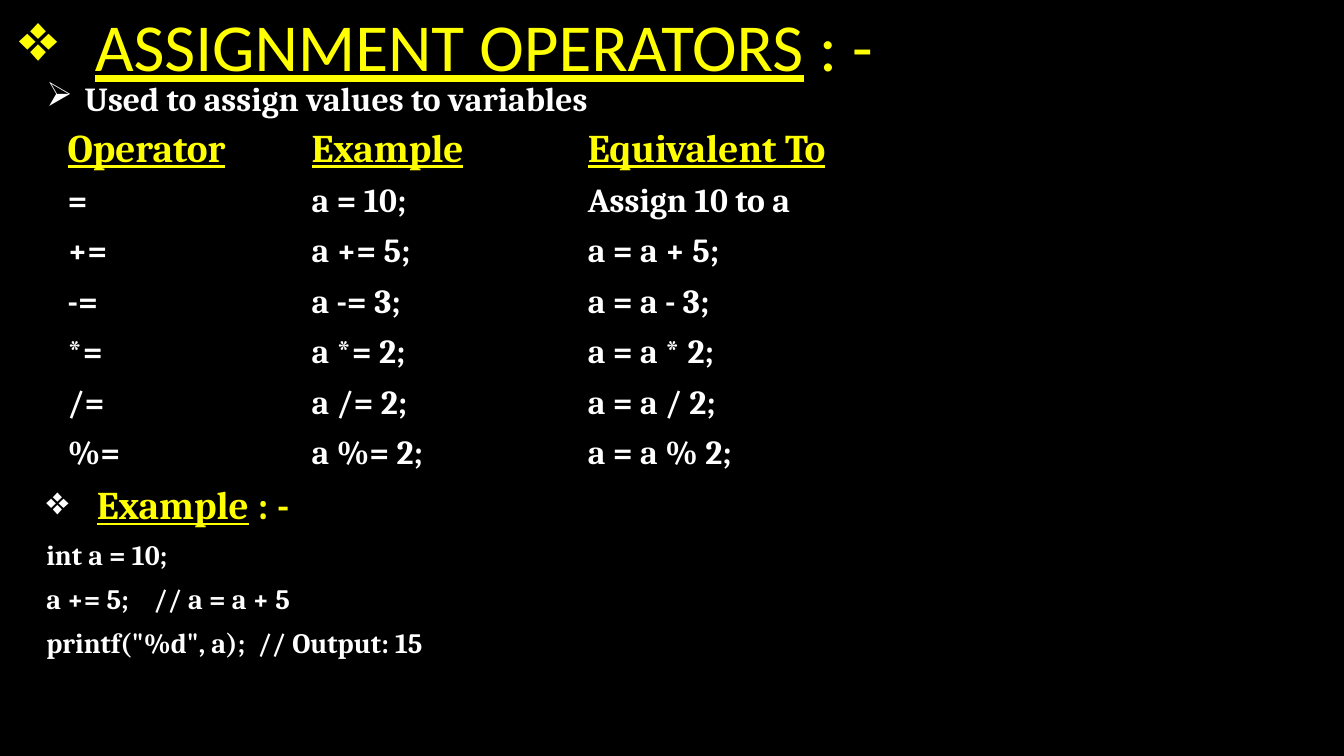
from typing import NamedTuple

from lxml import etree
from pptx import Presentation
from pptx import util as u
from pptx.dml import color
from pptx.enum import text
from pptx.oxml import ns

YELLOW, WHITE, BLACK = "FFFF00", "FFFFFF", "000000"
NO_GRID_STYLE = "{2D5ABB26-0587-4C30-8999-92F81FD0307C}"


class Line(NamedTuple):
    words: str
    size: int
    ink: str = WHITE
    face: str = "Cambria"
    bold: bool = True
    underlined: str = ""
    bullet: str = ""
    bullet_ink: str = WHITE
    indent: float = 0


class Block(NamedTuple):
    left: float
    top: float
    width: float
    height: float
    lines: list[Line]
    spacing: float = 0.88
    anchor: text.MSO_ANCHOR = text.MSO_ANCHOR.TOP


BLOCKS = [
    Block(0.19, -0.16, 12.61, 1.21, [
        Line(" : -", 48, YELLOW, "Calibri", False, "ASSIGNMENT OPERATORS", "❖", YELLOW, 0.75),
    ], 1, text.MSO_ANCHOR.MIDDLE),
    Block(0.46, 0.83, 11.29, 0.4, [
        Line("Used to assign values to variables", 24, bullet="➢", indent=0.38),
    ]),
    Block(0.46, 4.83, 11.29, 2, [
        Line(" : -", 28, YELLOW, underlined="Example", bullet="❖", indent=0.5),
        Line("int a = 10;", 20),
        Line("a += 5;    // a = a + 5", 20),
        Line('printf("%d", a);  // Output: 15', 20),
    ]),
]

OPERATORS = [
    ("Operator", "Example", "Equivalent To"),
    ("=", "a = 10;", "Assign 10 to a"),
    ("+=", "a += 5;", "a = a + 5;"),
    ("-=", "a -= 3;", "a = a - 3;"),
    ("*=", "a *= 2;", "a = a * 2;"),
    ("/=", "a /= 2;", "a = a / 2;"),
    ("%=", "a %= 2;", "a = a % 2;"),
]
COLUMN_WIDTHS = (2.42, 2.74, 3.56)
HEADER_HEIGHT, ROW_HEIGHT = 0.53, 0.5


def rgb(value: str) -> color.RGBColor:
    return color.RGBColor.from_string(value)


def add_bullet(para, line: Line) -> None:
    properties = para._p.get_or_add_pPr()
    properties.set("marL", str(u.Inches(line.indent)))
    properties.set("indent", str(-u.Inches(line.indent)))
    bullet_color = etree.SubElement(properties, ns.qn("a:buClr"))
    etree.SubElement(bullet_color, ns.qn("a:srgbClr"), val=line.bullet_ink)
    etree.SubElement(properties, ns.qn("a:buChar"), char=line.bullet)


def write_line(para, line: Line) -> None:
    if line.bullet:
        add_bullet(para, line)
    para.font.name = line.face
    para.font.size = u.Pt(line.size)
    para.font.bold = line.bold
    para.font.color.rgb = rgb(line.ink)
    if line.underlined:
        span = para.add_run()
        span.text = line.underlined
        span.font.underline = True
    if line.words:
        para.add_run().text = line.words


def add_block(page, block: Block) -> None:
    box = page.shapes.add_textbox(*map(u.Inches, block[:4]))
    frame = box.text_frame
    frame.word_wrap = True
    frame.vertical_anchor = block.anchor
    frame.margin_left = frame.margin_right = frame.margin_top = frame.margin_bottom = 0
    for index, line in enumerate(block.lines):
        para = frame.add_paragraph() if index else frame.paragraphs[0]
        para.line_spacing = block.spacing
        para.space_after = u.Pt(10)
        write_line(para, line)


def add_operator_table(page) -> None:
    height = HEADER_HEIGHT + ROW_HEIGHT * (len(OPERATORS) - 1)
    frame = page.shapes.add_table(
        len(OPERATORS), len(COLUMN_WIDTHS),
        u.Inches(0.57), u.Inches(1.22), u.Inches(sum(COLUMN_WIDTHS)), u.Inches(height))
    table = frame.table
    table.horz_banding = False
    table._tbl.tblPr.find(ns.qn("a:tableStyleId")).text = NO_GRID_STYLE
    for column, width in zip(table.columns, COLUMN_WIDTHS):
        column.width = u.Inches(width)
    for index, (row, entries) in enumerate(zip(table.rows, OPERATORS)):
        row.height = u.Inches(ROW_HEIGHT if index else HEADER_HEIGHT)
        for cell, entry in zip(row.cells, entries):
            cell.fill.background()
            cell.margin_top = cell.margin_bottom = 0
            cell.vertical_anchor = text.MSO_ANCHOR.MIDDLE
            line = Line(entry, 24) if index else Line("", 28, YELLOW, underlined=entry)
            write_line(cell.text_frame.paragraphs[0], line)


def main() -> None:
    deck = Presentation()
    deck.slide_width, deck.slide_height = u.Inches(13.33), u.Inches(7.5)
    page = deck.slides.add_slide(deck.slide_layouts[6])
    page.background.fill.solid()
    page.background.fill.fore_color.rgb = rgb(BLACK)
    for block in BLOCKS:
        add_block(page, block)
    add_operator_table(page)
    deck.save("out.pptx")


if __name__ == "__main__":
    main()
